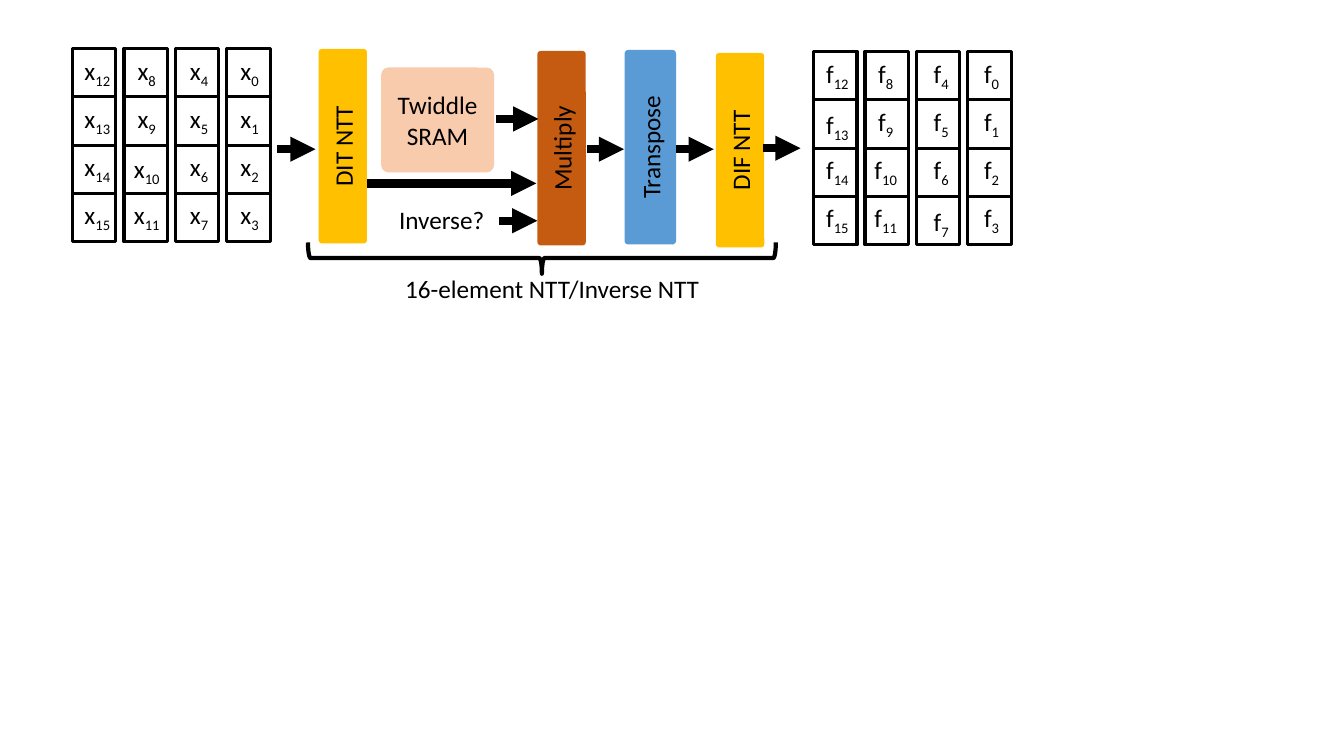
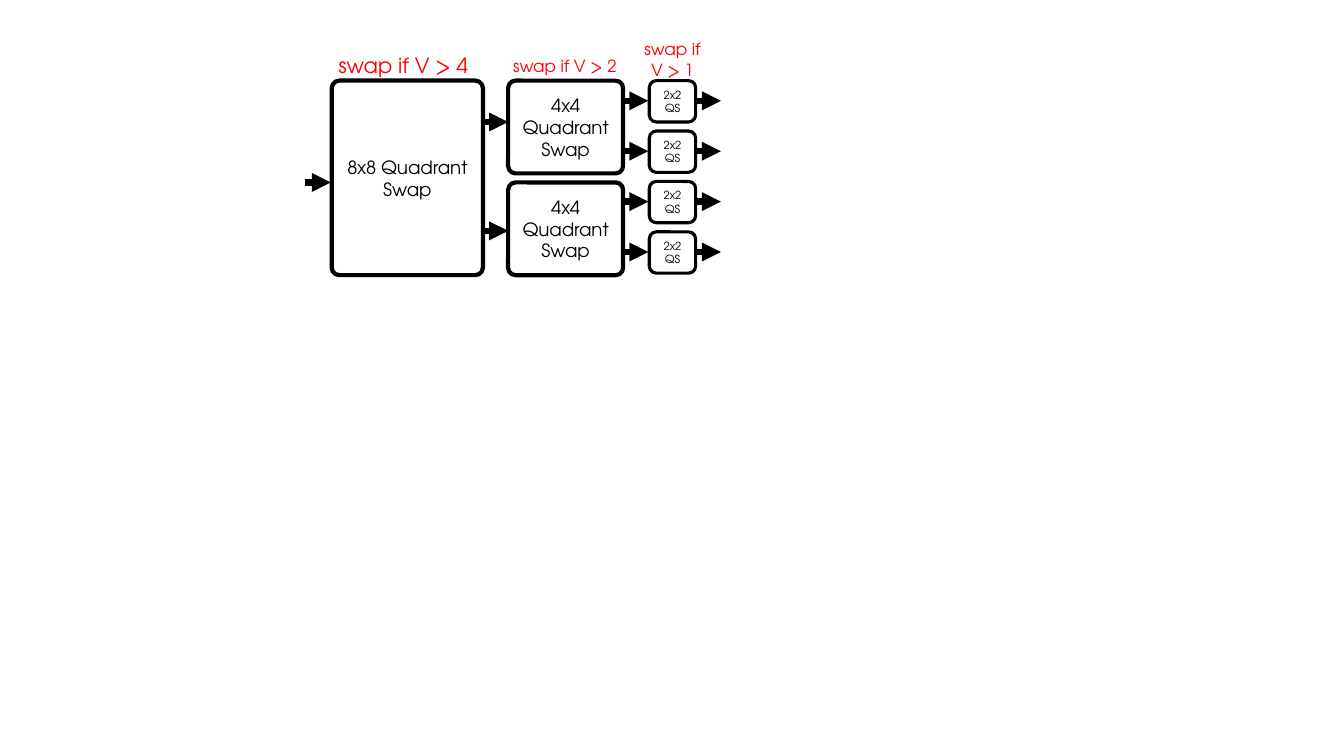
from dataclasses import dataclass

from lxml import etree
from pptx import Presentation
from pptx.dml.color import RGBColor
from pptx.enum.shapes import MSO_CONNECTOR, MSO_SHAPE
from pptx.enum.text import MSO_ANCHOR, MSO_AUTO_SIZE, PP_ALIGN
from pptx.oxml.ns import qn
from pptx.util import Inches, Pt

RECT, ROUNDED, BRACE = MSO_SHAPE.RECTANGLE, MSO_SHAPE.ROUNDED_RECTANGLE, MSO_SHAPE.LEFT_BRACE
STRAIGHT = MSO_CONNECTOR.STRAIGHT
CENTER, LEFT = PP_ALIGN.CENTER, PP_ALIGN.LEFT
TOP, MIDDLE = MSO_ANCHOR.TOP, MSO_ANCHOR.MIDDLE
FIT_SHAPE = MSO_AUTO_SIZE.SHAPE_TO_FIT_TEXT


@dataclass(frozen=True)
class Theme:
    ink: str = "000000"
    butterfly: str = "FFC000"
    multiply: str = "C55A11"
    transpose: str = "5B9BD5"
    twiddle: str = "F8CBAD"
    condition: str = "FF0000"
    pipeline_font: str = "Calibri"
    swap_font: str = "TeX Gyre Adventor"
    pipeline_size: float = 18
    swap_size: float = 13
    small_swap_size: float = 8
    large_condition_size: float = 15
    condition_size: float = 12
    thin: float = 2.25
    medium: float = 3
    swap_arrow: float = 4.5
    pipeline_arrow: float = 6


THEME = Theme()
PIPELINE_TEXT = {"font": THEME.pipeline_font, "size": THEME.pipeline_size}

# Slide 1: text, centre x, centre y, thickness, fill
STAGES = [
    ("Multiply", 5.57, 1.47, 0.48, THEME.multiply),
    ("DIT NTT", 3.4, 1.45, 0.48, THEME.butterfly),
    ("Transpose", 6.45, 1.46, 0.51, THEME.transpose),
    ("DIF NTT", 7.34, 1.49, 0.48, THEME.butterfly),
]
STAGE_LENGTH = 1.93
# start x, end x, y
PIPELINE_ARROWS = [
    (2.75, 3.13, 1.48), (3.64, 5.32, 1.82), (4.92, 5.34, 1.18), (4.95, 5.33, 2.19),
    (5.82, 6.19, 1.48), (6.7, 7.08, 1.48), (7.57, 7.94, 1.47),
]
# text, left, top, width, height
CAPTIONS = [
    ("Inverse?", 3.86, 1.98, 1.06, 0.4),
    ("16-element NTT/Inverse NTT", 3.92, 2.66, 3.15, 0.4),
]
# symbol, left of the first vector, top, label shift of each vector
MATRICES = [
    ("x", 2.25, 0.48, (0.01, 0.02, 0.01, 0.03)),
    ("f", 9.6, 0.51, (0.02, 0.03, -0.01, 0.02)),
]
LABEL_DROPS = {"x10": 0.02, "f7": 0.04, "f13": 0.03}
VECTOR_ROWS = 4
VECTOR_PITCH, VECTOR_WIDTH, VECTOR_HEIGHT = 0.51, 0.43, 1.92
LABEL_WIDTH, LABEL_HEIGHT, LABEL_PITCH = 0.48, 0.4, 0.475

# Slide 2: text, count, left, width, height, pitch, corner, outline, text size
SWAP_TOP = 0.8
SWAP_LEVELS = [
    ("8x8 Quadrant Swap", 1, 3.29, 1.5, 1.93, 0, 0.05, THEME.medium, THEME.swap_size),
    ("4x4 Quadrant Swap", 2, 5.04, 1.14, 0.92, 1.01, 0.08, THEME.medium, THEME.swap_size),
    ("2x2 QS", 4, 6.44, 0.46, 0.41, 0.5, 0.17, THEME.thin, THEME.small_swap_size),
]
# count, start x, first y, pitch
SWAP_ARROWS = [(1, 3.03, 1.81, 0), (2, 4.79, 1.21, 1.08), (4, 6.18, 1, 0.5), (4, 6.9, 1, 0.5)]
SWAP_ARROW_LENGTH = 0.25
# lines, left, top, width, height, size, alignment
CONDITIONS = [
    (["swap if V > 4"], 3.26, 0.47, 1.54, 0.35, THEME.large_condition_size, LEFT),
    (["swap if V > 2"], 4.99, 0.5, 1.28, 0.3, THEME.condition_size, LEFT),
    (["swap if", "V > 1"], 6.27, 0.34, 0.8, 0.5, THEME.condition_size, CENTER),
]


def set_all(target, values):
    for attribute, value in values.items():
        setattr(target, attribute, value)


def write(frame, lines, font, size, color=THEME.ink, align=CENTER, **frame_format):
    """Fill a frame; each line is a list of (text, is_subscript) parts or a string."""
    set_all(frame, frame_format)
    for index, line in enumerate(lines):
        paragraph = frame.paragraphs[0] if index == 0 else frame.add_paragraph()
        paragraph.alignment = align
        for text, subscript in [(line, False)] if isinstance(line, str) else line:
            run = paragraph.add_run()
            run.text = text
            set_all(run.font, {"name": font, "size": Pt(size)})
            run.font.color.rgb = RGBColor.from_string(color)
            if subscript:
                run.font._element.set("baseline", "-25000")


def add_label(shapes, lines, box, **text_format):
    label = shapes.add_textbox(*map(Inches, box))
    write(label.text_frame, lines, word_wrap=False, auto_size=FIT_SHAPE,
          vertical_anchor=TOP, **text_format)


def add_block(shapes, kind, box, fill=None, outline=None, corner=None, rotation=0):
    block = shapes.add_shape(kind, *map(Inches, box))
    block.shadow.inherit = False
    block.rotation = rotation
    if corner is not None:
        block.adjustments[0] = corner
    if fill:
        block.fill.solid()
        block.fill.fore_color.rgb = RGBColor.from_string(fill)
    else:
        block.fill.background()
    if outline:
        block.line.color.rgb = RGBColor.from_string(THEME.ink)
        block.line.width = Pt(outline)
    else:
        block.line.fill.background()
    return block


def add_horizontal(shapes, start, end, y, weight, arrow=True):
    line = shapes.add_connector(STRAIGHT, *map(Inches, (start, y, end, y)))
    line.line.color.rgb = RGBColor.from_string(THEME.ink)
    line.line.width = Pt(weight)
    properties = line.element.spPr
    if arrow:
        etree.SubElement(properties.find(qn("a:ln")), qn("a:tailEnd"), type="triangle")
    etree.SubElement(properties, qn("a:effectLst"))


def add_vector(slide, symbol, first_index, left, top, label_shift):
    shapes = slide.shapes.add_group_shape().shapes
    add_block(shapes, RECT, (left, top, VECTOR_WIDTH, VECTOR_HEIGHT), outline=THEME.thin)
    for row in range(1, VECTOR_ROWS):
        add_horizontal(shapes, left, left + VECTOR_WIDTH,
                       top + row * VECTOR_HEIGHT / VECTOR_ROWS, THEME.thin, arrow=False)
    label_left = left + (VECTOR_WIDTH - LABEL_WIDTH) / 2 + label_shift
    for row in range(VECTOR_ROWS):
        index = str(first_index + row)
        label_top = top + 0.02 + row * LABEL_PITCH + LABEL_DROPS.get(symbol + index, 0)
        add_label(shapes, [[(symbol, False), (index, True)]],
                  (label_left, label_top, LABEL_WIDTH, LABEL_HEIGHT), **PIPELINE_TEXT)


def build_pipeline(slide):
    shapes = slide.shapes
    for text, center_x, center_y, thickness, fill in STAGES:
        box = (center_x - STAGE_LENGTH / 2, center_y - thickness / 2, STAGE_LENGTH, thickness)
        stage = add_block(shapes, ROUNDED, box, fill, corner=0.07, rotation=270)
        write(stage.text_frame, [text], vertical_anchor=MIDDLE, word_wrap=True, **PIPELINE_TEXT)
    twiddle = add_block(shapes, ROUNDED, (3.78, 0.67, 1.12, 1.04), THEME.twiddle, corner=0.07)
    write(twiddle.text_frame, ["Twiddle SRAM"], vertical_anchor=MIDDLE, word_wrap=True,
          **PIPELINE_TEXT)
    for start, end, y in PIPELINE_ARROWS:
        add_horizontal(shapes, start, end, y, THEME.pipeline_arrow)
    add_block(shapes, BRACE, (5.22, 0.24, 0.31, 4.64), outline=THEME.medium, rotation=270)
    for text, *box in CAPTIONS:
        add_label(shapes, [text], box, align=LEFT, **PIPELINE_TEXT)
    for symbol, left, top, label_shifts in MATRICES:
        for column, shift in enumerate(label_shifts):
            add_vector(slide, symbol, column * VECTOR_ROWS,
                       left - column * VECTOR_PITCH, top, shift)


def build_swap_tree(slide):
    shapes = slide.shapes.add_group_shape().shapes
    for text, count, left, width, height, pitch, corner, outline, size in SWAP_LEVELS:
        for row in range(count):
            box = (left, SWAP_TOP + row * pitch, width, height)
            swap = add_block(shapes, ROUNDED, box, outline=outline, corner=corner)
            write(swap.text_frame, [text], THEME.swap_font, size,
                  vertical_anchor=MIDDLE, word_wrap=True)
    for count, start, first_y, pitch in SWAP_ARROWS:
        for row in range(count):
            add_horizontal(shapes, start, start + SWAP_ARROW_LENGTH, first_y + row * pitch,
                           THEME.swap_arrow)
    for lines, *box, size, align in CONDITIONS:
        add_label(slide.shapes, lines, box, font=THEME.swap_font, size=size,
                  color=THEME.condition, align=align)


def main():
    deck = Presentation()
    set_all(deck, {"slide_width": Inches(13.33), "slide_height": Inches(7.5)})
    blank = deck.slide_layouts[6]
    for build in (build_pipeline, build_swap_tree):
        build(deck.slides.add_slide(blank))
    deck.save("out.pptx")


if __name__ == "__main__":
    main()
